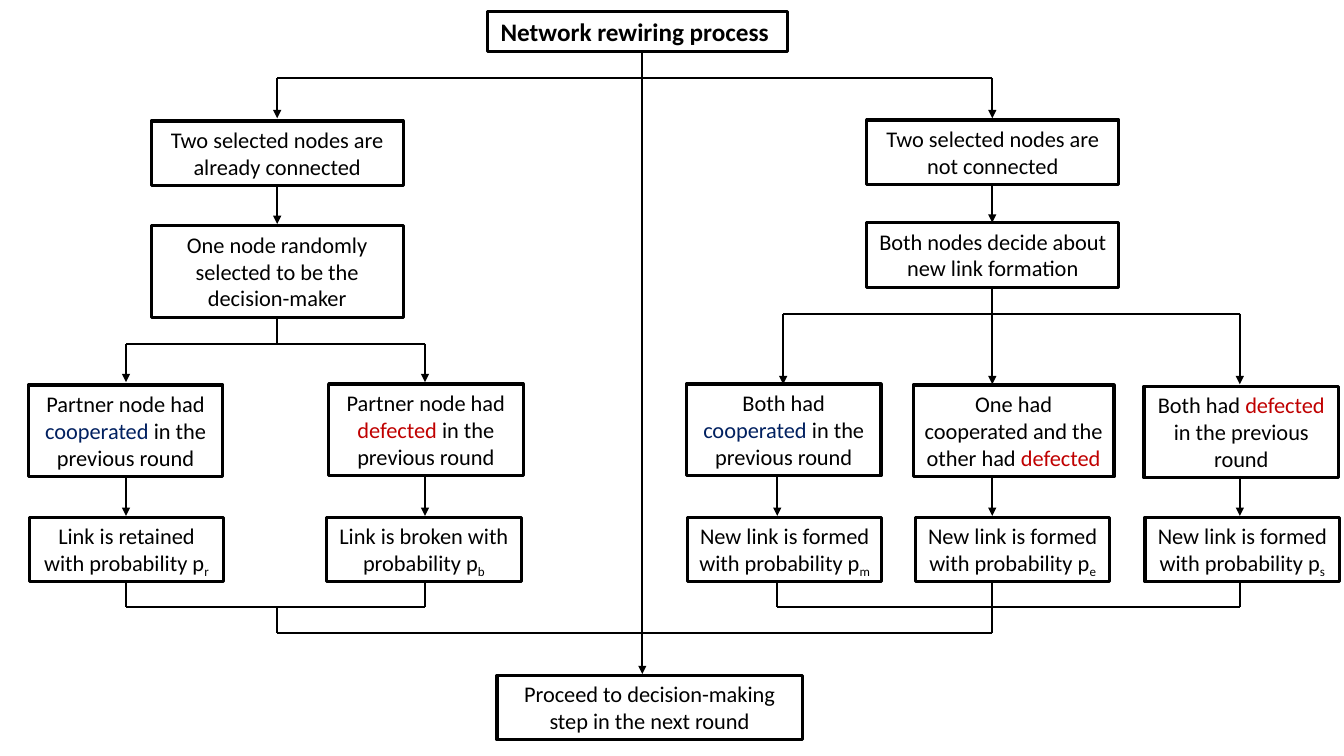
from lxml.etree import SubElement
from pptx import Presentation
from pptx.dml.color import RGBColor
from pptx.enum.shapes import MSO_CONNECTOR
from pptx.enum.text import MSO_ANCHOR, MSO_AUTO_SIZE, PP_ALIGN
from pptx.oxml.ns import qn
from pptx.util import Pt

BLACK = RGBColor(0x00, 0x00, 0x00)
NAVY = RGBColor(0x00, 0x20, 0x60)
RED = RGBColor(0xC0, 0x00, 0x00)
PLAIN = {"name": "Calibri", "size": Pt(16), "bold": False}
TITLE = {"name": "Calibri", "size": Pt(18), "bold": True}
FRAME = {"word_wrap": True, "auto_size": MSO_AUTO_SIZE.NONE,
         "vertical_anchor": MSO_ANCHOR.TOP}
SUBSCRIPT = "sub"

prs = Presentation()
prs.slide_width, prs.slide_height = Pt(960), Pt(540)
s = prs.slides.add_slide(prs.slide_layouts[5])


def fill_box(sp, at, runs, font=PLAIN):
    sp.left, sp.top, sp.width, sp.height = [Pt(v) for v in at]
    sp.line.color.rgb = BLACK
    sp.line.width = Pt(2.25)
    tf = sp.text_frame
    for key, value in FRAME.items():
        setattr(tf, key, value)
    p = tf.paragraphs[0]
    p.alignment = PP_ALIGN.CENTER
    for text, style in runs:
        r = p.add_run()
        r.text = text
        for key, value in font.items():
            setattr(r.font, key, value)
        r.font.color.rgb = BLACK if style == SUBSCRIPT else style
        if style == SUBSCRIPT:
            r.font._element.set("baseline", "-25000")


def add_line(x1, y1, x2, y2, arrow=False, width=1.5):
    line = s.shapes.add_connector(MSO_CONNECTOR.STRAIGHT, Pt(x1), Pt(y1), Pt(x2), Pt(y2))
    line.line.color.rgb = BLACK
    line.line.width = Pt(width)
    if arrow:
        SubElement(line._element.spPr.get_or_add_ln(), qn("a:tailEnd"), type="triangle")
    SubElement(line._element.spPr, qn("a:effectLst"))


fill_box(s.shapes.title, (348.5, 8, 214, 29), [("Network rewiring process ", BLACK)], TITLE)

steps = [
    (108, 86.4, 180, 46, "Two selected nodes are already connected"),
    (619.2, 85.7, 180, 46, "Two selected nodes are not connected"),
    (108, 161.3, 180, 65.5, "One node randomly selected to be the decision-maker"),
    (619.2, 159.1, 180, 46, "Both nodes decide about new link formation"),
    (355, 482.5, 218, 46, "Proceed to decision-making step in the next round"),
]
for *at, text in steps:
    fill_box(s.shapes.add_textbox(0, 0, 0, 0), at, [(text, BLACK)])

cooperated, defected = ("cooperated", NAVY), ("defected", RED)
in_round = (" in the previous round", BLACK)
histories = [
    (20.2, 275, 139, [("Partner node had ", BLACK), cooperated, in_round]),
    (234.7, 274.3, 139, [("Partner node had ", BLACK), defected, in_round]),
    (490.3, 274.3, 139, [("Both had ", BLACK), cooperated, in_round]),
    (652.3, 275, 143.5, [("One had cooperated and the other had ", BLACK), defected]),
    (817.2, 275.8, 139, [("Both had ", BLACK), defected, in_round]),
]
for x, y, w, runs in histories:
    fill_box(s.shapes.add_textbox(0, 0, 0, 0), (x, y, w, 65.5), runs)

outcomes = [
    (20.9, "Link is retained", "r"),
    (233.3, "Link is broken", "b"),
    (491, "New link is formed", "m"),
    (653.8, "New link is formed", "e"),
    (817.9, "New link is formed", "s"),
]
for x, outcome, index in outcomes:
    runs = [(f"{outcome} with probability p", BLACK), (index, SUBSCRIPT)]
    fill_box(s.shapes.add_textbox(0, 0, 0, 0), (x, 369.4, 139, 46), runs)

left, middle, right = 198, 458.8, 708.8
retained, broken, mutual, mixed, both = 90, 303.6, 555.2, right, 885.6
mutual_top = 559.4

add_line(middle, 37, middle, 56)
add_line(left, 56, right, 56)
for x in (left, right):
    add_line(x, 56, x, 84.5, arrow=True)
add_line(middle, 56, middle, 481.5, arrow=True)
add_line(left, 132, left, 160, arrow=True)
add_line(right, 131, right, 159, arrow=True)

add_line(left, 226, left, 245.5)
add_line(retained, 245.5, broken, 245.5)
for x in (retained, broken):
    add_line(x, 245.5, x, 273, arrow=True)
add_line(right, 204.5, right, 224)
add_line(mutual_top, 224, both, 224)
for x in (mutual_top, mixed, both):
    add_line(x, 224, x, 274.5, arrow=True)

for x in (retained, broken, mutual, mixed, both):
    add_line(x, 340, x, 368.5, arrow=True)
for x in (retained, broken, mutual, both):
    add_line(x, 414.5, x, 433.8)
add_line(retained, 433.8, broken, 433.8)
add_line(mutual, 433.8, both, 433.8)
add_line(left, 433.8, left, 452.2)
add_line(mixed, 414.5, mixed, 452.2)
for x in (left, right):
    add_line(x, 452.2, middle, 452.2, width=1.25)

prs.save("out.pptx")
